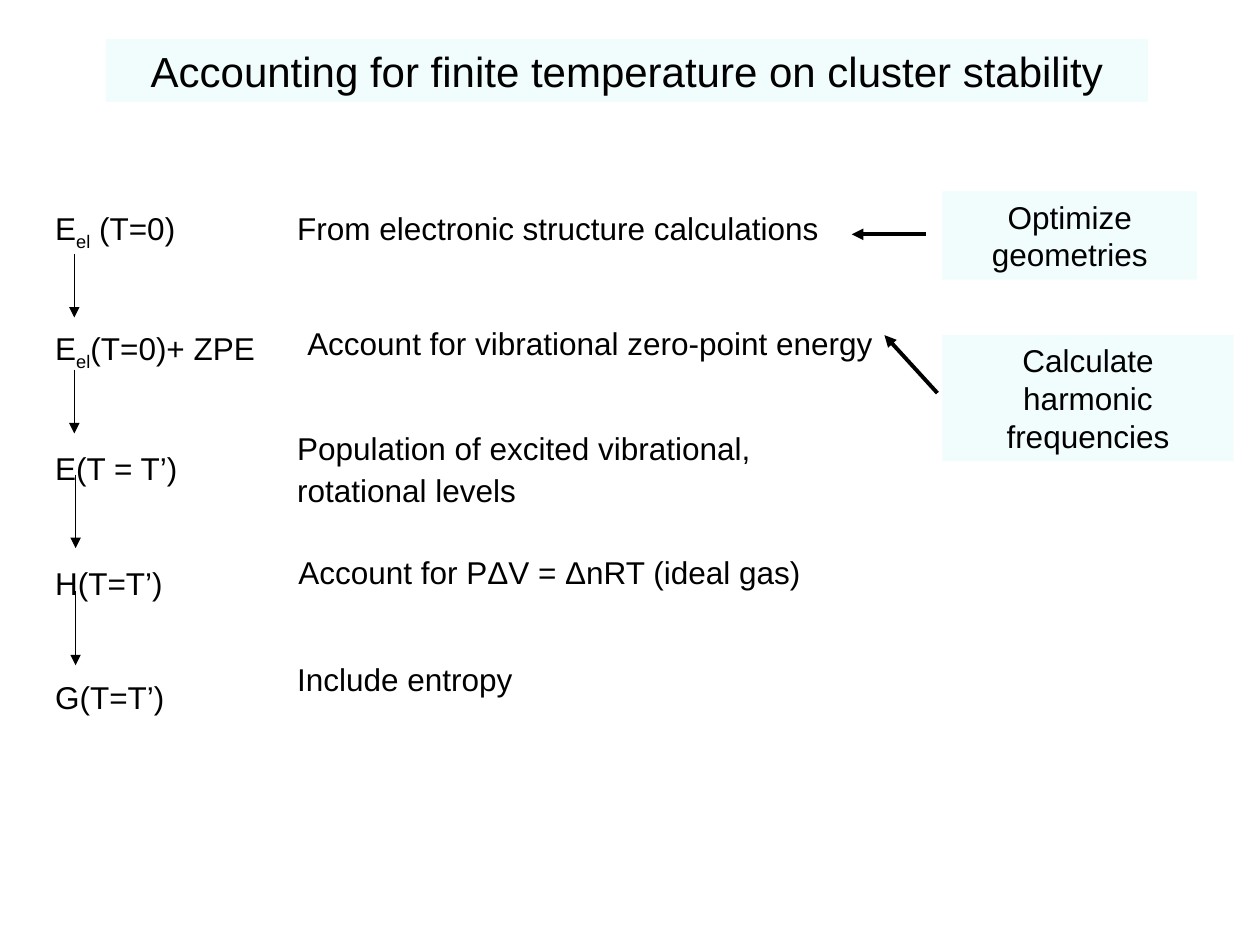
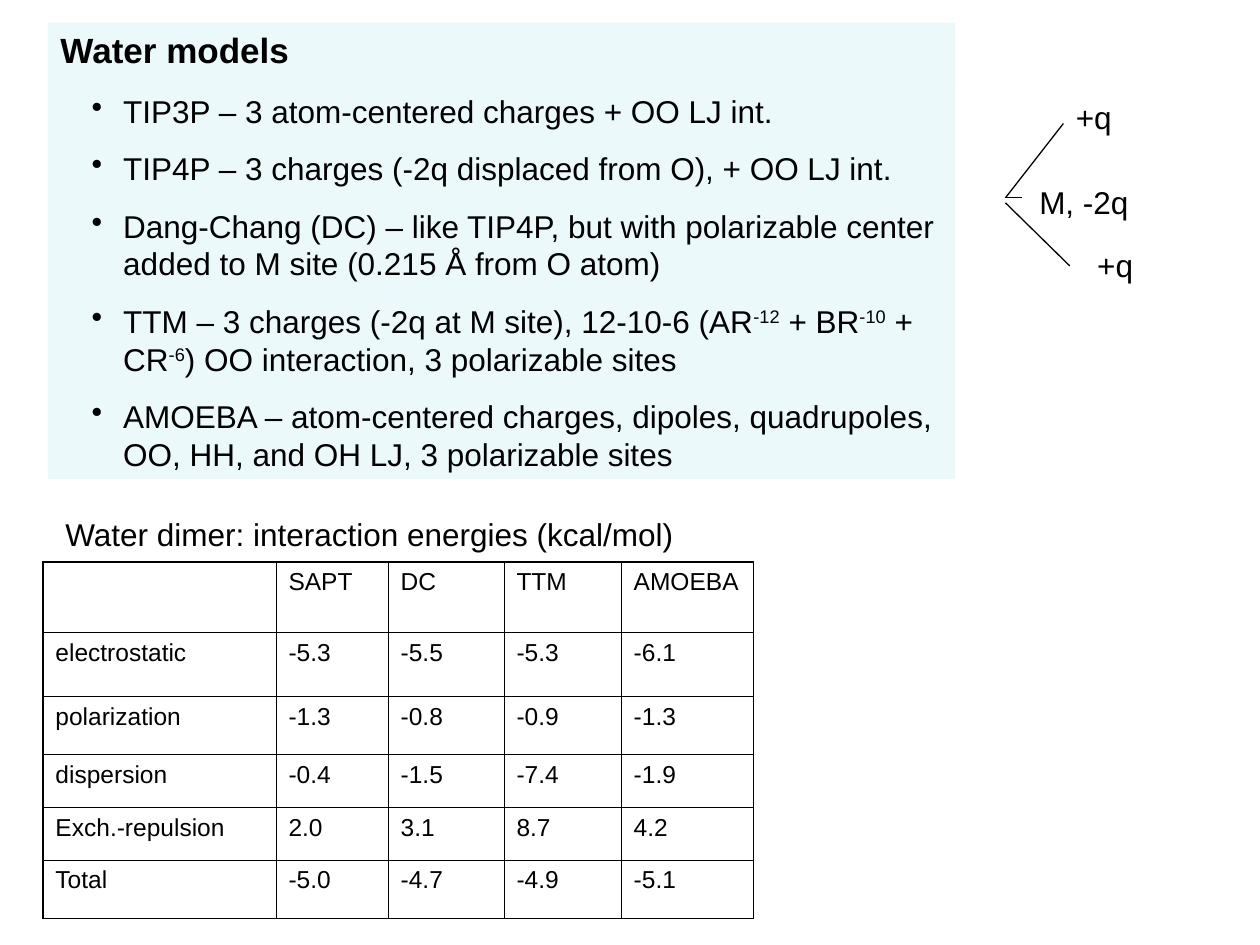
"""Build two slides on finite-temperature cluster stability and water models."""
from lxml import etree
from pptx import Presentation
from pptx import util as u
from pptx.dml.color import RGBColor
from pptx.enum import shapes, text
from pptx.oxml.ns import qn

BLACK, MINT, AQUA = "000000", "F1FCFD", "EBF9FB"
COLUMNS, ROWS = 100, 75
SUB, SUPER = -25000, 30000


def colour(value):
    """Turn a hex string into a colour."""
    return RGBColor.from_string(value)


class Deck:
    """Hold the shared style and the slide being built."""

    font, body, heading, small = "Arial", 18, 24, 14

    def __init__(self):
        """Open an empty 10 by 7.5 inch presentation."""
        self.deck = Presentation()
        self.deck.slide_width, self.deck.slide_height = u.Inches(10), u.Inches(7.5)
        self.slide = None

    def across(self, columns):
        """Convert grid columns to a length."""
        return round(self.deck.slide_width * columns / COLUMNS)

    def down(self, rows):
        """Convert grid rows to a length."""
        return round(self.deck.slide_height * rows / ROWS)

    def area(self, left, top, width, height):
        """Convert a grid rectangle to lengths."""
        return self.across(left), self.down(top), self.across(width), self.down(height)

    def compose(self, frame, lines, size=body, bold=False, align=text.PP_ALIGN.LEFT,
                gap=0, bullet=False):
        """Fill a frame with lines, each a string or a list of (words, baseline) runs."""
        frame.word_wrap = True
        frame.auto_size = text.MSO_AUTO_SIZE.NONE
        frame.vertical_anchor = text.MSO_ANCHOR.TOP
        for index, line in enumerate(lines):
            paragraph = frame.paragraphs[0] if index == 0 else frame.add_paragraph()
            paragraph.alignment = align
            paragraph.space_before = u.Pt(gap if index else 0)
            for words, baseline in [(line, 0)] if isinstance(line, str) else line:
                run = paragraph.add_run()
                run.text = words
                if baseline:
                    run._r.get_or_add_rPr().set("baseline", str(baseline))
            if bullet:
                properties = paragraph._p.get_or_add_pPr()
                properties.set("marL", str(u.Inches(0.5)))
                properties.set("indent", str(u.Inches(-0.25)))
                etree.SubElement(properties, qn("a:buChar"), char="•")
            paragraph.font.name = self.font
            paragraph.font.size = u.Pt(size)
            paragraph.font.bold = bold
            paragraph.font.color.rgb = colour(BLACK)

    def titled(self, title, place, fill, **style):
        """Start a slide whose title sits on a tinted band."""
        self.slide = self.deck.slides.add_slide(self.deck.slide_layouts[5])
        band = self.slide.shapes.title
        band.left, band.top, band.width, band.height = self.area(*place)
        band.fill.solid()
        band.fill.fore_color.rgb = colour(fill)
        self.compose(band.text_frame, [title], **style)

    def label(self, place, *lines, **style):
        """Add plain text."""
        box = self.slide.shapes.add_textbox(*self.area(*place))
        self.compose(box.text_frame, lines, **style)

    def panel(self, place, fill, *lines, **style):
        """Add a tinted rectangle with text."""
        box = self.slide.shapes.add_shape(shapes.MSO_SHAPE.RECTANGLE, *self.area(*place))
        box.shadow.inherit = False
        box.fill.solid()
        box.fill.fore_color.rgb = colour(fill)
        box.line.fill.background()
        self.compose(box.text_frame, lines, **style)

    def line(self, start, end, width=0.75, arrow=False):
        """Draw a straight line between two grid points."""
        link = self.slide.shapes.add_connector(
            shapes.MSO_CONNECTOR.STRAIGHT, self.across(start[0]), self.down(start[1]),
            self.across(end[0]), self.down(end[1]))
        link.line.color.rgb = colour(BLACK)
        link.line.width = u.Pt(width)
        if arrow:
            etree.SubElement(link.line._get_or_add_ln(), qn("a:tailEnd"), type="triangle")
        etree.SubElement(link._element.spPr, qn("a:effectLst"))

    def border(self, cell, **widths):
        """Draw the cell's edges, keyed L, R, T and B, in points."""
        properties = cell._tc.get_or_add_tcPr()
        for position, (side, width) in enumerate(widths.items()):
            edge = etree.Element(qn(f"a:ln{side}"), w=str(u.Pt(width)))
            fill = etree.SubElement(edge, qn("a:solidFill"))
            etree.SubElement(fill, qn("a:srgbClr"), val=BLACK)
            properties.insert(position, edge)

    def table(self, place, widths, heights, records, thin=0.45, thick=1.08):
        """Add a ruled table with a thick frame and a thick rule above the last row."""
        grid = self.slide.shapes.add_table(
            len(heights), len(widths), *self.area(*place)).table
        grid.first_row = grid.horz_banding = False
        for column, width in zip(grid.columns, widths):
            column.width = self.across(width)
        for row, height in zip(grid.rows, heights):
            row.height = self.down(height)
        last_row, last_column = len(heights) - 1, len(widths) - 1
        for r, record in enumerate(records):
            for c, value in enumerate(record):
                cell = grid.cell(r, c)
                cell.fill.background()
                if value:
                    self.compose(cell.text_frame, [value], size=self.small)
                self.border(cell,
                            L=thick if c == 0 else thin,
                            R=thick if c == last_column else thin,
                            T=thick if r in (0, last_row) else thin,
                            B=thick if r >= last_row - 1 else thin)


def temperature_slide(deck):
    """Show the steps from electronic energy to free energy."""
    centre = text.PP_ALIGN.CENTER
    deck.titled("Accounting for finite temperature on cluster stability",
                (8.4, 3.1, 82.7, 5), MINT, size=deck.heading, align=centre)
    deck.label((3.4, 16.1, 21.7, 41.4),
               [("E", 0), ("el", SUB), (" (T=0)", 0)],
               [("E", 0), ("el", SUB), ("(T=0)+ ZPE", 0)],
               "E(T = T’)", "H(T=T’)", "G(T=T’)", gap=44)
    explanations = [
        (22.6, 16.1, 52.5, ["From electronic structure calculations"]),
        (23.4, 25.2, 50.8, ["Account for vibrational zero-point energy"]),
        (22.6, 33.6, 45.8, ["Population of excited vibrational,", "rotational levels"]),
        (22.7, 43.4, 42.1, ["Account for PΔV = ΔnRT (ideal gas)"]),
        (22.6, 51.9, 36.7, ["Include entropy"]),
    ]
    for left, top, width, lines in explanations:
        deck.label((left, top, width, 0.7 + 3.3 * len(lines)), *lines, gap=2.2)
    for x, top, bottom in [(5.9, 20.2, 25.2), (5.9, 29.4, 34.4),
                           (6, 37.7, 43.5), (6, 46.9, 52.8)]:
        deck.line((x, top), (x, bottom), arrow=True)
    deck.panel((74.8, 15.2, 20.2, 7), MINT, "Optimize geometries", align=centre)
    deck.panel((74.8, 26.6, 23.1, 10), MINT, "Calculate harmonic frequencies", align=centre)
    deck.line((73.5, 18.6), (67.6, 18.6), width=2.25, arrow=True)
    deck.line((74.4, 31.2), (70.2, 26.6), width=2.25, arrow=True)


def water_slide(deck):
    """Compare water models and their dimer energies."""
    deck.titled("Water models", (3.8, 1.8, 72, 5), AQUA, size=20, bold=True)
    deck.panel(
        (3.8, 6.8, 72, 31.2), AQUA,
        "TIP3P – 3 atom-centered charges + OO LJ int.",
        "TIP4P – 3 charges (-2q displaced from O), + OO LJ int.",
        "Dang-Chang (DC) – like TIP4P, but with polarizable center added to M site "
        "(0.215 Å from O atom)",
        [("TTM – 3 charges (-2q at M site), 12-10-6 (AR", 0), ("-12", SUPER),
         (" + BR", 0), ("-10", SUPER), (" + CR", 0), ("-6", SUPER),
         (") OO interaction, 3 polarizable sites", 0)],
        "AMOEBA – atom-centered charges, dipoles, quadrupoles, OO, HH, and OH LJ, "
        "3 polarizable sites",
        gap=11.2, bullet=True)
    deck.label((4.2, 40.4, 51.2, 4), "Water dimer: interaction energies (kcal/mol)")
    deck.table((3.4, 44.6, 56.4, 28.3), [18.5, 8.9, 9.2, 9.3, 10.5],
               [5.6, 5.1, 4.6, 4.2, 4.2, 4.6],
               [["", "SAPT", "DC", "TTM", "AMOEBA"],
                ["electrostatic", "-5.3", "-5.5", "-5.3", "-6.1"],
                ["polarization", "-1.3", "-0.8", "-0.9", "-1.3"],
                ["dispersion", "-0.4", "-1.5", "-7.4", "-1.9"],
                ["Exch.-repulsion", "2.0", "3.1", "8.7", "4.2"],
                ["Total", "-5.0", "-4.7", "-4.9", "-5.1"]])
    oxygen = (79.8, 15.7)
    deck.line(oxygen, (84.4, 9.8))
    deck.line(oxygen, (81.1, 15.7))
    deck.line((79.8, 16.1), (84.9, 21.1))
    for left, top, width, charge in [(84.4, 7.3, 5.5, "+q"), (81.5, 14, 10.9, "M, -2q"),
                                     (86.1, 19, 5.5, "+q")]:
        deck.label((left, top, width, 4), charge)


def main():
    """Build and save both slides."""
    deck = Deck()
    temperature_slide(deck)
    water_slide(deck)
    deck.deck.save("out.pptx")


if __name__ == "__main__":
    main()
